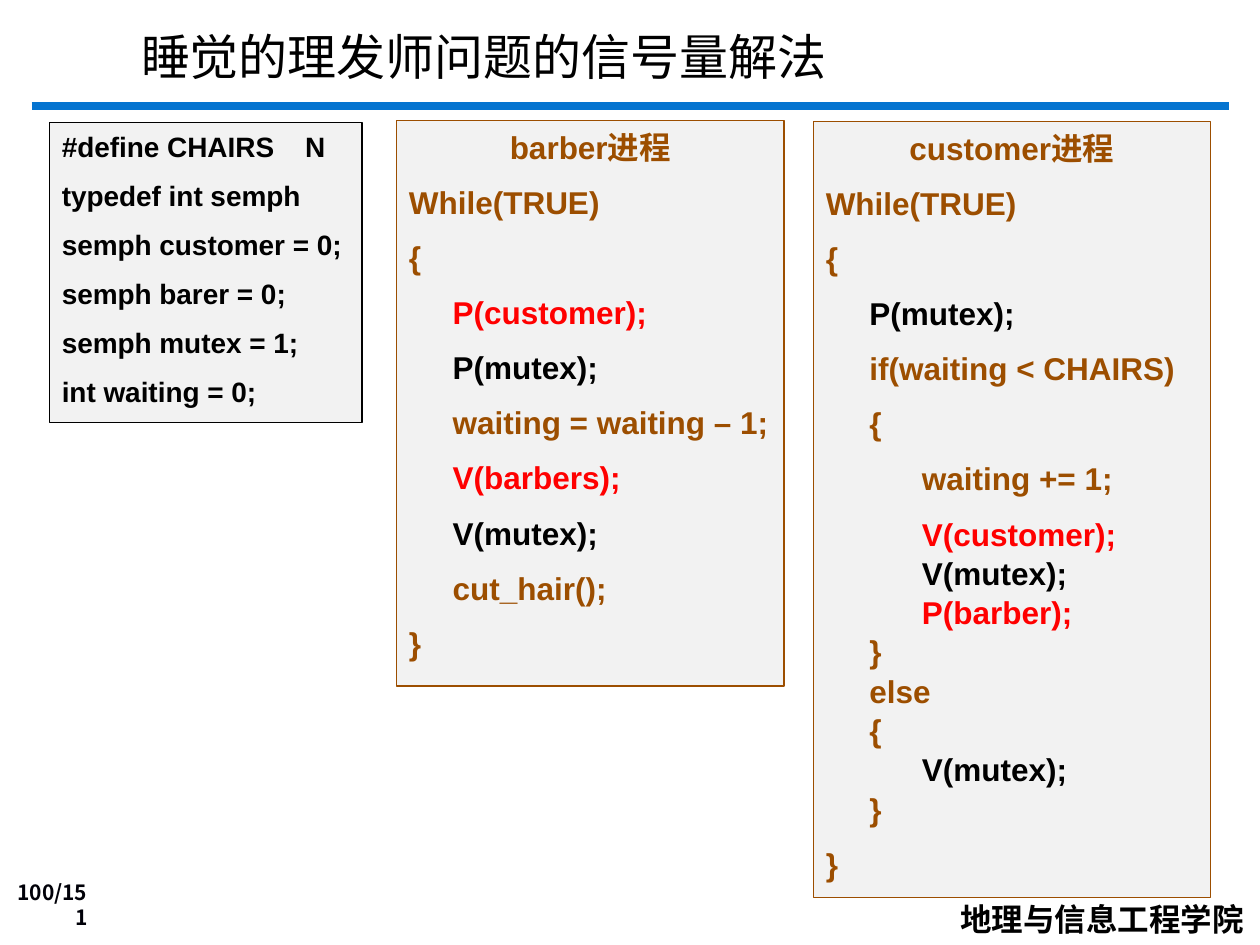
from lxml import etree
from pptx import Presentation
from pptx.dml.color import RGBColor
from pptx.enum import shapes, text
from pptx.oxml import ns
from pptx.util import Pt

COLOURS = {"black": "000000", "brown": "9C4E00", "red": "FF0000",
           "panel": "F2F2F2", "rule": "0574D0", "number": "000008"}


def colour(name):
    return RGBColor.from_string(COLOURS[name])


def style(para, size, name, face="Arial", bold=True):
    para.font.size = Pt(size)
    para.font.name = face
    para.font.bold = bold
    para.font.color.rgb = colour(name)


deck = Presentation()
deck.slide_width, deck.slide_height = Pt(720), Pt(540)
page = deck.slides.add_slide(deck.slide_layouts[5])

rule = page.shapes.add_connector(shapes.MSO_CONNECTOR.STRAIGHT, Pt(18), Pt(60.5), Pt(702), Pt(60.5))
rule.line.color.rgb = colour("rule")
rule.line.width = Pt(4.5)
etree.SubElement(rule._element.spPr, ns.qn("a:effectLst"))

title = page.shapes.title
title.left, title.top, title.width, title.height = Pt(73.4), Pt(12.2), Pt(425.5), Pt(39.6)
title.text_frame.text = "睡觉的理发师问题的信号量解法"
title.text_frame.auto_size = text.MSO_AUTO_SIZE.NONE
title.text_frame.vertical_anchor = text.MSO_ANCHOR.MIDDLE
title.text_frame.paragraphs[0].alignment = text.PP_ALIGN.LEFT
style(title.text_frame.paragraphs[0], 28, "black", bold=False)

footers = [
    ("100/151", (0, 514, 57, 21), 12, "number", "Noto Sans CJK JP", True,
     text.PP_ALIGN.RIGHT, text.MSO_ANCHOR.BOTTOM),
    ("地理与信息工程学院", (541.5, 510.5, 178, 29), 18, "black", "Noto Sans CJK SC", False,
     text.PP_ALIGN.LEFT, text.MSO_ANCHOR.TOP),
]
for words, area, size, tint, face, wrap, align, anchor in footers:
    box = page.shapes.add_textbox(*map(Pt, area))
    box.text_frame.word_wrap = wrap
    box.text_frame.vertical_anchor = anchor
    para = box.text_frame.paragraphs[0]
    para.text = words
    para.alignment = align
    style(para, size, tint, face)

definitions = [
    ("#define CHAIRS    N", "black"),
    ("typedef int semph", "black"),
    ("semph customer = 0;", "black"),
    ("semph barer = 0;", "black"),
    ("semph mutex = 1;", "black"),
    ("int waiting = 0;", "black"),
]
barber = [
    ("barber进程", "brown"),
    ("While(TRUE)", "brown"),
    ("{", "brown"),
    ("     P(customer);", "red"),
    ("     P(mutex);", "black"),
    ("     waiting = waiting – 1;", "brown"),
    ("     V(barbers);", "red"),
    ("     V(mutex);", "black"),
    ("     cut_hair();", "brown"),
    ("}", "brown"),
]
customer = [
    ("customer进程", "brown"),
    ("While(TRUE)", "brown"),
    ("{", "brown"),
    ("     P(mutex);", "black"),
    ("     if(waiting < CHAIRS)", "brown"),
    ("     {", "brown"),
    ("           waiting += 1;", "brown"),
    ("           V(customer);", "red"),
    ("           V(mutex);", "black"),
    ("           P(barber);", "red"),
    ("     }", "brown"),
    ("     else", "brown"),
    ("     {", "brown"),
    ("           V(mutex);", "black"),
    ("     }", "brown"),
    ("}", "brown"),
]
panels = [
    (definitions, (28.2, 70, 178.6, 171.4), 16, "black", False, range(0)),
    (barber, (226.6, 68.8, 221.4, 323.3), 18, "brown", True, range(0)),
    (customer, (464.8, 69.4, 226.8, 443.5), 18, "brown", True, range(8, 15)),
]
for lines, area, size, border, headed, tight in panels:
    box = page.shapes.add_shape(shapes.MSO_SHAPE.RECTANGLE, *map(Pt, area))
    box.shadow.inherit = False
    box.fill.solid()
    box.fill.fore_color.rgb = colour("panel")
    box.line.color.rgb = colour(border)
    box.line.width = Pt(0.75)
    frame = box.text_frame
    frame.word_wrap = True
    frame.vertical_anchor = text.MSO_ANCHOR.TOP
    for index, (words, tint) in enumerate(lines):
        para = frame.add_paragraph() if index else frame.paragraphs[0]
        para.text = words
        para.alignment = text.PP_ALIGN.CENTER if headed and index == 0 else text.PP_ALIGN.LEFT
        para.line_spacing = 1.04
        para.space_before = Pt(0 if index == 0 or index in tight else size / 2)
        style(para, size, tint)

deck.save("out.pptx")
